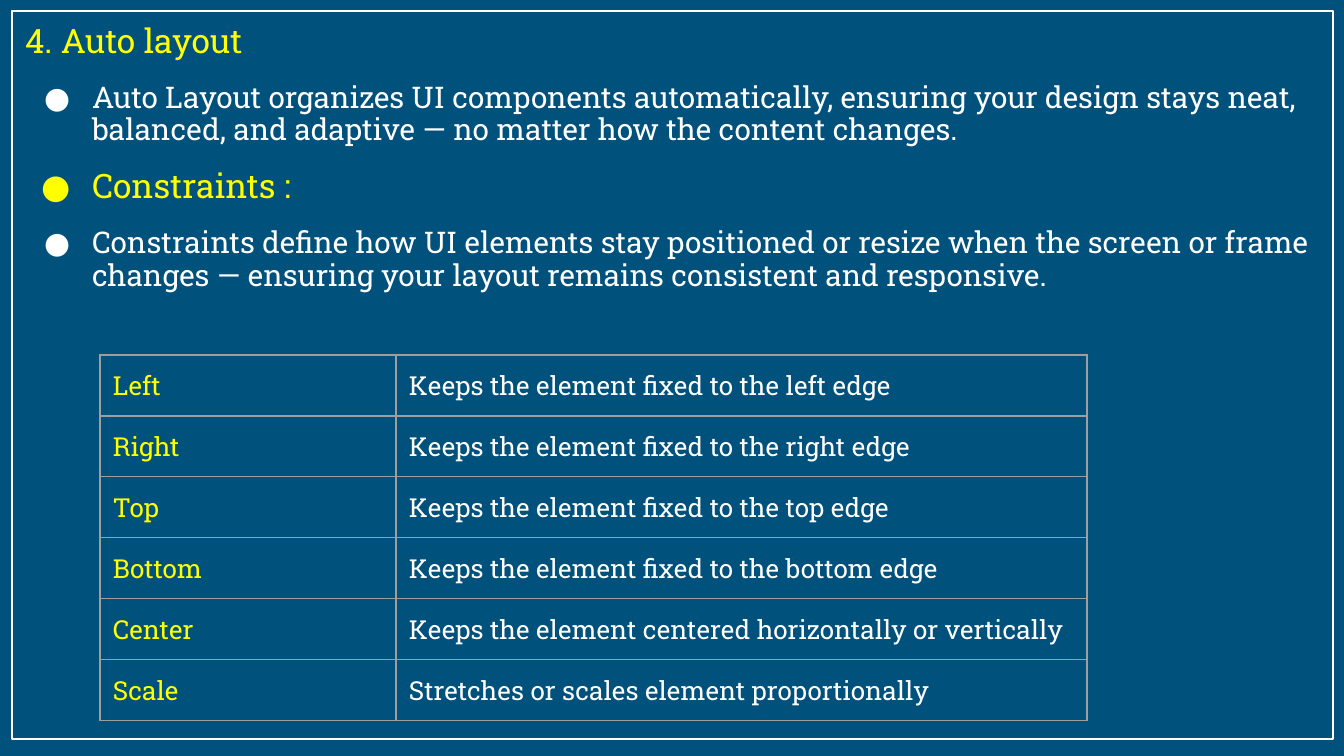
from lxml.etree import SubElement
from pptx import Presentation
from pptx.dml.color import RGBColor
from pptx.enum.text import MSO_ANCHOR, MSO_AUTO_SIZE, PP_ALIGN
from pptx.oxml.ns import qn
from pptx.util import Pt

NAVY = RGBColor(0x00, 0x51, 0x7C)
WHITE = RGBColor(0xFF, 0xFF, 0xFF)
YELLOW = RGBColor(0xFF, 0xFF, 0x00)
GRAY = RGBColor(0x9E, 0x9E, 0x9E)
FONT = "Roboto Slab"
EMU_PER_PX = 914400 / 134.4

HEADING = "4. Auto layout"
POINTS = [
    ("Auto Layout organizes UI components automatically, ensuring your design stays neat, "
     "balanced, and adaptive — no matter how the content changes.", 16, WHITE, 48),
    ("Constraints :", 18, YELLOW, 51),
    ("Constraints define how UI elements stay positioned or resize when the screen or frame "
     "changes — ensuring your layout remains consistent and responsive.", 16, WHITE, 48),
]
CONSTRAINTS = [
    ("Left", "Keeps the element fixed to the left edge"),
    ("Right", "Keeps the element fixed to the right edge"),
    ("Top", "Keeps the element fixed to the top edge"),
    ("Bottom", "Keeps the element fixed to the bottom edge"),
    ("Center", "Keeps the element centered horizontally or vertically"),
    ("Scale", "Stretches or scales element proportionally"),
]


def px(length):
    return round(length * EMU_PER_PX)


def write(para, text, size=14, color=WHITE, line_spacing=None, before=0, hang=0):
    para.alignment = PP_ALIGN.LEFT
    para.space_before = Pt(before)
    if line_spacing:
        para.line_spacing = line_spacing
    if hang:
        properties = para._p.get_or_add_pPr()
        properties.set("marL", str(px(67)))
        properties.set("indent", str(-px(hang)))
        bullet_color = SubElement(properties, qn("a:buClr"))
        SubElement(bullet_color, qn("a:srgbClr"), val=str(color))
        SubElement(properties, qn("a:buFont"), typeface=FONT)
        SubElement(properties, qn("a:buChar"), char="●")
    span = para.add_run()
    span.text = text
    span.font.name = FONT
    span.font.size = Pt(size)
    span.font.color.rgb = color


class Page:
    def __init__(self, deck):
        self.slide = deck.slides.add_slide(deck.slide_layouts[5])
        self.slide.background.fill.solid()
        self.slide.background.fill.fore_color.rgb = NAVY
        self.inset = px(13)

    def title_list(self, left, top, width, height, heading, points):
        box = self.slide.shapes.title
        box.left, box.top, box.width, box.height = map(px, (left, top, width, height))
        box.line.color.rgb = WHITE
        box.line.width = Pt(0.75)
        frame = box.text_frame
        frame.word_wrap = True
        frame.auto_size = MSO_AUTO_SIZE.NONE
        frame.vertical_anchor = MSO_ANCHOR.TOP
        frame.margin_left = frame.margin_right = self.inset
        frame.margin_top = frame.margin_bottom = self.inset
        write(frame.paragraphs[0], heading, size=18, color=YELLOW, line_spacing=0.9)
        for text, size, color, hang in points:
            write(frame.add_paragraph(), text, size=size, color=color,
                  line_spacing=0.9, before=12, hang=hang)

    def table(self, left, top, widths, row_height, rows):
        table = self.slide.shapes.add_table(
            len(rows), len(widths), px(left), px(top),
            px(sum(widths)), px(row_height * len(rows))).table
        table.first_row = table.horz_banding = False
        for column, width in zip(table.columns, widths):
            column.width = px(width)
        for row, texts in zip(table.rows, rows):
            row.height = px(row_height)
            for cell, text, color, margin in zip(
                    row.cells, texts, (YELLOW, WHITE), (self.inset, 0)):
                cell.margin_left = cell.margin_right = self.inset
                cell.margin_top = cell.margin_bottom = margin
                cell.vertical_anchor = MSO_ANCHOR.MIDDLE
                self.border(cell)
                cell.fill.background()
                write(cell.text_frame.paragraphs[0], text, color=color)

    def border(self, cell):
        properties = cell._tc.get_or_add_tcPr()
        for side in ("lnL", "lnR", "lnT", "lnB"):
            line = SubElement(properties, qn(f"a:{side}"), w=str(Pt(0.75)))
            fill = SubElement(line, qn("a:solidFill"))
            SubElement(fill, qn("a:srgbClr"), val=str(GRAY))


def main():
    deck = Presentation()
    deck.slide_width, deck.slide_height = px(1344), px(756)
    page = Page(deck)
    page.title_list(12, 11, 1321, 728, HEADING, POINTS)
    page.table(100, 355, (296, 691), 61, CONSTRAINTS)
    deck.save("out.pptx")


if __name__ == "__main__":
    main()
